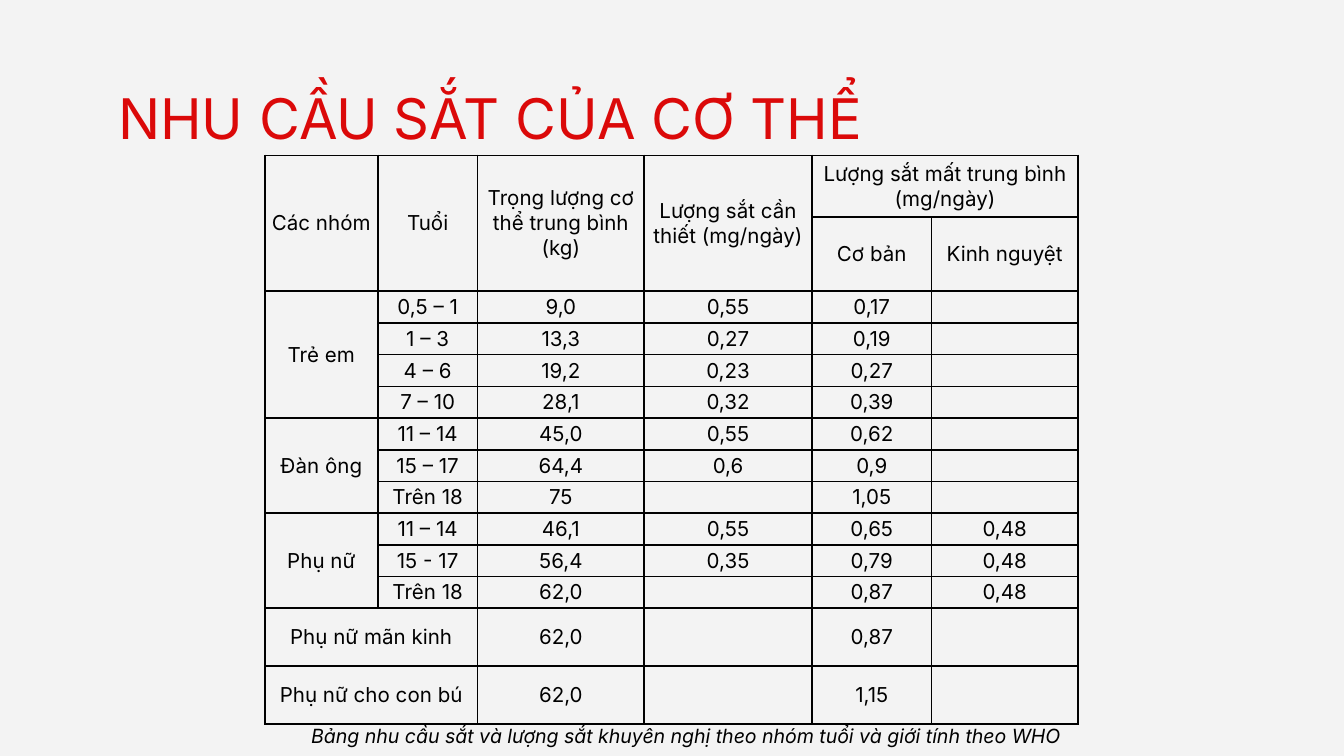
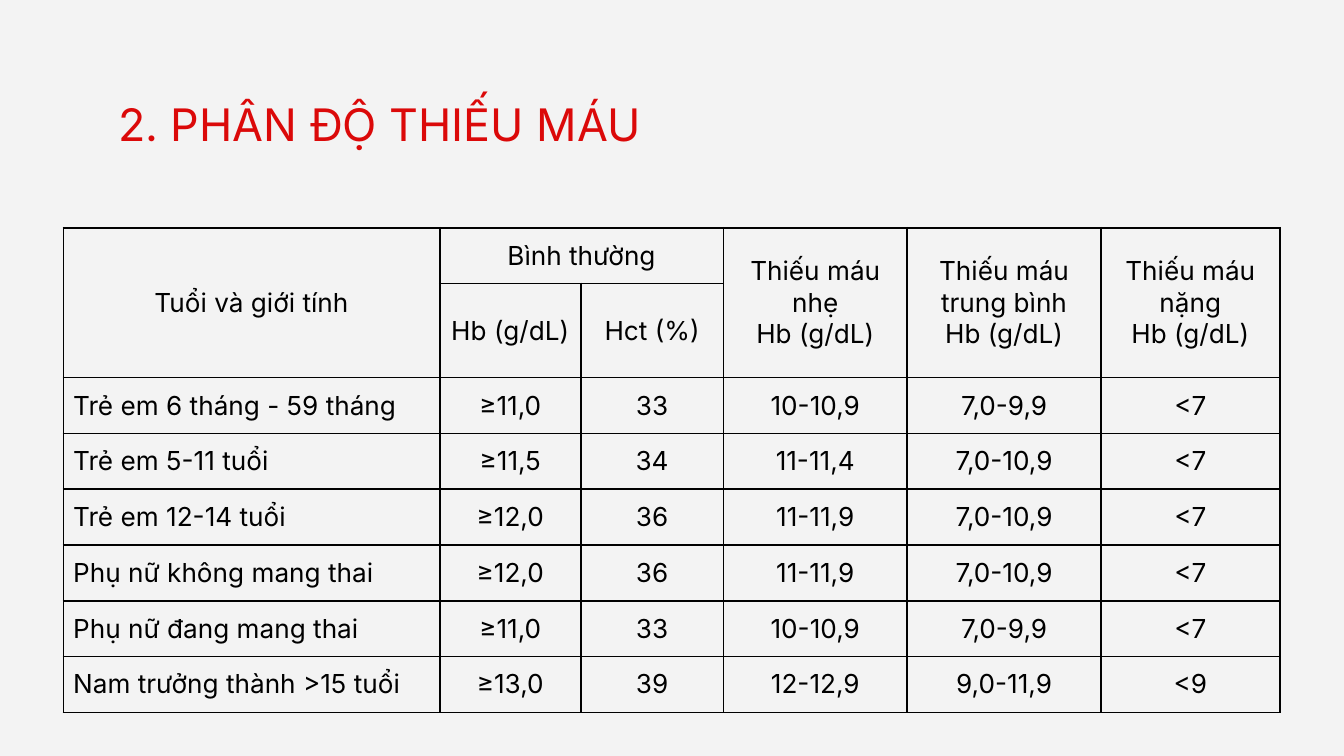
from copy import deepcopy

from lxml import etree
from pptx import Presentation
from pptx.dml.color import RGBColor
from pptx.enum import text
from pptx.oxml.ns import qn
from pptx.util import Pt

FONT, PAPER, RED, BLACK = "Inter", "F3F3F3", "DB0909", "000000"
CENTER, LEFT = text.PP_ALIGN.CENTER, text.PP_ALIGN.LEFT
UP, BACK = "merge up", "merge back"

IRON = dict(
    at=(141.9, 83.2), size=11, inset=3.6, first_align=CENTER,
    widths=[60.5, 53.5, 89.2, 90, 64, 78.5],
    heights=[33.2, 31] + [17] * 10 + [31] * 2,
    rows=[
        ["Các nhóm", "Tuổi", "Trọng lượng cơ thể trung bình (kg)",
         "Lượng sắt cần thiết (mg/ngày)", "Lượng sắt mất trung bình (mg/ngày)", BACK],
        [UP, UP, UP, UP, "Cơ bản", "Kinh nguyệt"],
        ["Trẻ em", "0,5 – 1", "9,0", "0,55", "0,17", ""],
        [UP, "1 – 3", "13,3", "0,27", "0,19", ""],
        [UP, "4 – 6", "19,2", "0,23", "0,27", ""],
        [UP, "7 – 10", "28,1", "0,32", "0,39", ""],
        ["Đàn ông", "11 – 14", "45,0", "0,55", "0,62", ""],
        [UP, "15 – 17", "64,4", "0,6", "0,9", ""],
        [UP, "Trên 18", "75", "", "1,05", ""],
        ["Phụ nữ", "11 – 14", "46,1", "0,55", "0,65", "0,48"],
        [UP, "15 - 17", "56,4", "0,35", "0,79", "0,48"],
        [UP, "Trên 18", "62,0", "", "0,87", "0,48"],
        ["Phụ nữ mãn kinh", BACK, "62,0", "", "0,87", ""],
        ["Phụ nữ cho con bú", BACK, "62,0", "", "1,15", ""],
    ])

ANEMIA = dict(
    at=(34, 122), size=14, inset=5.2, first_align=LEFT,
    widths=[201.6, 75.6, 76.4, 98.5, 103.8, 95.8],
    heights=[29.9] * 8,
    rows=[
        ["Tuổi và giới tính", "Bình thường", BACK, "Thiếu máu nhẹ\nHb (g/dL)",
         "Thiếu máu trung bình\nHb (g/dL)", "Thiếu máu nặng\nHb (g/dL)"],
        [UP, "Hb (g/dL)", "Hct (%)", UP, UP, UP],
        ["Trẻ em 6 tháng - 59 tháng", "≥11,0", "33", "10-10,9", "7,0-9,9", "<7"],
        ["Trẻ em 5-11 tuổi", "≥11,5", "34", "11-11,4", "7,0-10,9", "<7"],
        ["Trẻ em 12-14 tuổi", "≥12,0", "36", "11-11,9", "7,0-10,9", "<7"],
        ["Phụ nữ không mang thai", "≥12,0", "36", "11-11,9", "7,0-10,9", "<7"],
        ["Phụ nữ đang mang thai", "≥11,0", "33", "10-10,9", "7,0-9,9", "<7"],
        ["Nam trưởng thành >15 tuổi", "≥13,0", "39", "12-12,9", "9,0-11,9", "<9"],
    ])

SLIDES = [
    dict(title="NHU CẦU SẮT CỦA CƠ THỂ", top=36.7, height=51.1, size=30, table=IRON,
         caption="Bảng nhu cầu sắt và lượng sắt khuyên nghị theo nhóm tuổi và giới tính theo WHO"),
    dict(title="2. PHÂN ĐỘ THIẾU MÁU", top=43.9, height=43.9, size=24, table=ANEMIA),
]


def rgb(color):
    return RGBColor.from_string(color)


def write(tf, content, size, color=BLACK, align=LEFT, italic=None, spacing=None, indent=0):
    p = tf.paragraphs[0]
    p.text = content
    p.alignment = align
    if spacing:
        p.line_spacing = spacing
    if indent:
        p._p.get_or_add_pPr().set("indent", str(Pt(indent)))
    for r in p.runs:
        f = r.font
        f.name, f.size, f.italic = FONT, Pt(size), italic
        f.color.rgb = rgb(color)
    for br in p._p.findall(qn("a:br")):
        br.insert(0, deepcopy(p.runs[0]._r.rPr))
    if not content:
        etree.SubElement(p._p, qn("a:endParaRPr"), sz=str(size * 100))


def add_text(s, box, content, anchor, **fmt):
    tf = s.shapes.add_textbox(*map(Pt, box)).text_frame
    tf.word_wrap = True
    tf.vertical_anchor = anchor
    tf.margin_left = tf.margin_right = tf.margin_top = tf.margin_bottom = Pt(7.2)
    write(tf, content, **fmt)


def style_cell(cell, inset):
    cell.vertical_anchor = text.MSO_ANCHOR.MIDDLE
    cell.margin_left = cell.margin_right = Pt(inset)
    cell.margin_top = cell.margin_bottom = 0
    tcPr = cell._tc.get_or_add_tcPr()
    for side in ("lnL", "lnR", "lnT", "lnB"):
        ln = etree.SubElement(tcPr, qn("a:" + side), w=str(Pt(1)))
        fill = etree.SubElement(ln, qn("a:solidFill"))
        etree.SubElement(fill, qn("a:srgbClr"), val=BLACK)
    cell.fill.background()


def run_length(items, mark):
    n = 1
    while n < len(items) and items[n] == mark:
        n += 1
    return n


def add_grid(s, at, size, inset, first_align, widths, heights, rows):
    frame = s.shapes.add_table(len(rows), len(widths), *map(Pt, (*at, sum(widths), sum(heights))))
    table = frame.table
    table.first_row = table.horz_banding = False
    for col, width in zip(table.columns, widths):
        col.width = Pt(width)
    for row, height in zip(table.rows, heights):
        row.height = Pt(height)
    for i, row in enumerate(rows):
        for j, content in enumerate(row):
            cell = table.cell(i, j)
            style_cell(cell, inset)
            covered = content in (UP, BACK)
            align = first_align if j == 0 and i > 1 else CENTER
            write(cell.text_frame, "" if covered else content, size, align=align)
            if covered:
                continue
            down = run_length([below[j] for below in rows[i:]], UP)
            across = run_length(row[j:], BACK)
            if down * across > 1:
                cell.merge(table.cell(i + down - 1, j + across - 1))


def main():
    prs = Presentation()
    prs.slide_width, prs.slide_height = Pt(720), Pt(405)
    for page in SLIDES:
        s = prs.slides.add_slide(prs.slide_layouts[6])
        s.background.fill.solid()
        s.background.fill.fore_color.rgb = rgb(PAPER)
        add_text(s, (56.2, page["top"], 640, page["height"]), page["title"],
                 text.MSO_ANCHOR.BOTTOM, size=page["size"], color=RED)
        add_grid(s, **page["table"])
        if "caption" in page:
            add_text(s, (50.4, 374.4, 620, 34.6), page["caption"], text.MSO_ANCHOR.TOP,
                     size=10.5, align=CENTER, italic=True, spacing=1.5, indent=14.4)
    prs.save("out.pptx")


if __name__ == "__main__":
    main()
